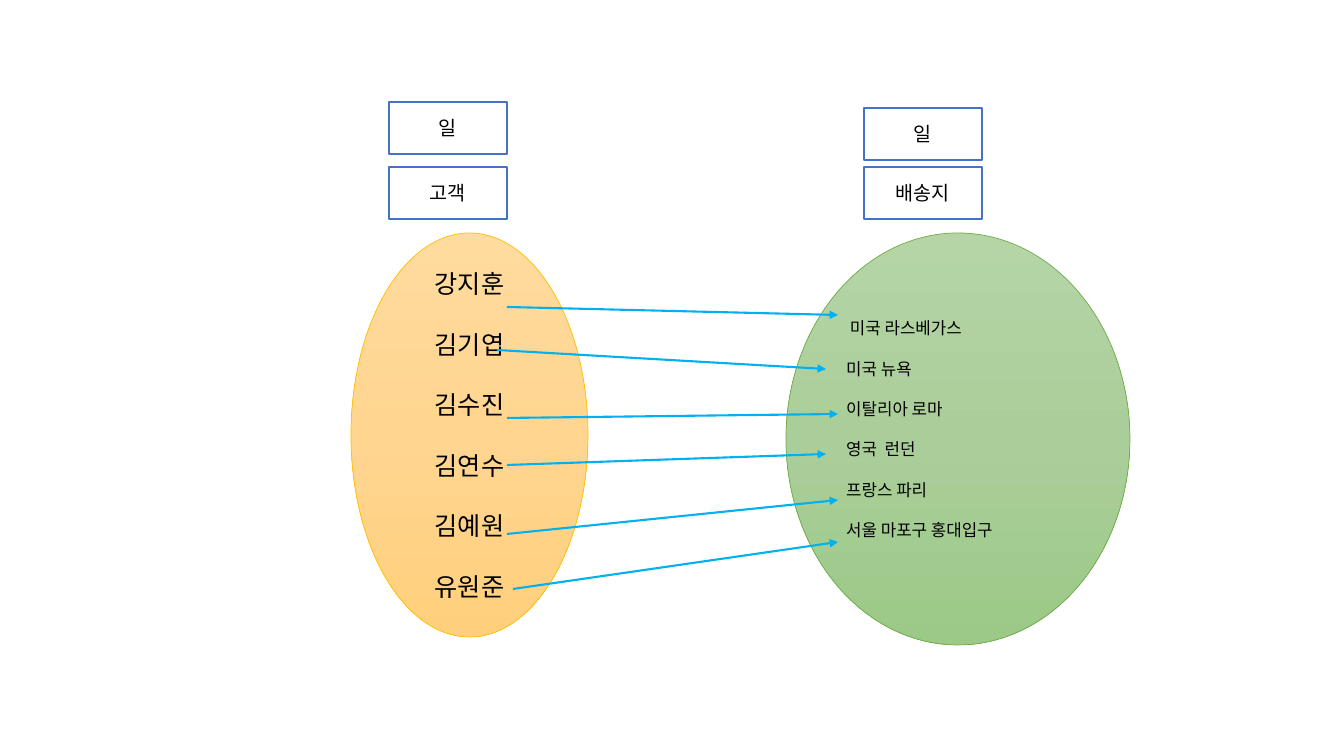
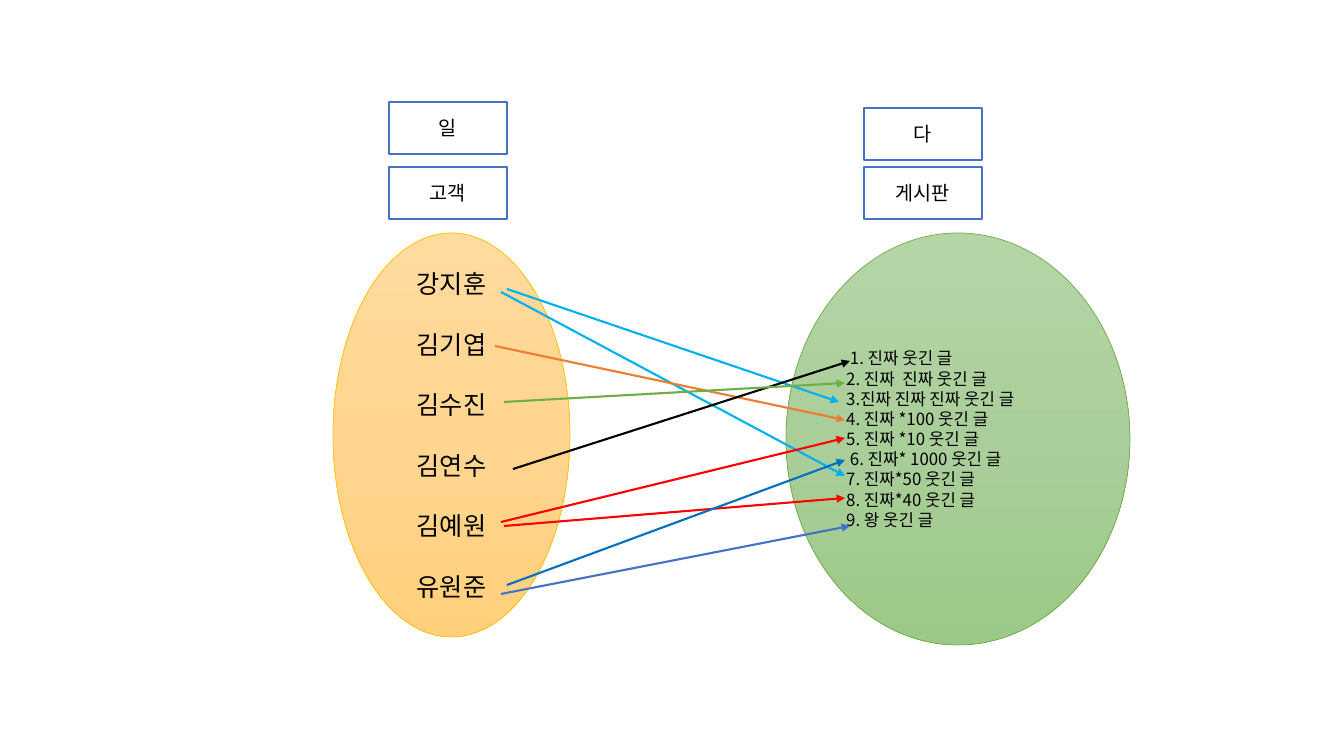
from copy import deepcopy

from lxml.etree import SubElement
from pptx import Presentation
from pptx.dml.color import RGBColor as RGB
from pptx.enum.shapes import MSO_CONNECTOR as CONN, MSO_SHAPE as SHAPE
from pptx.enum.text import MSO_ANCHOR as ANCHOR, PP_ALIGN as ALIGN
from pptx.oxml.ns import qn
from pptx.util import Emu, Pt

# Shared style
FONT = "Noto Sans CJK KR"
LINE_HEIGHT = 1.2
BLACK, WHITE = RGB(0, 0, 0), RGB(255, 255, 255)
SKY, BLUE, NAVY = RGB(0, 176, 240), RGB(68, 114, 196), RGB(0, 112, 192)
ORANGE, RED, GREEN = RGB(237, 125, 49), RGB(255, 0, 0), RGB(112, 173, 71)
GOLD = RGB(255, 192, 0)
GOLD_FADE = RGB(255, 219, 158), RGB(255, 213, 144), RGB(255, 208, 124)
GREEN_FADE = RGB(181, 213, 167), RGB(170, 206, 154), RGB(156, 201, 135)

# Layout in px
SLIDE_W, SLIDE_H = 1344, 756
BOX_W, BOX_H = 118, 52
LEFT_BOX_X, RIGHT_BOX_X = 389, 864
LABEL_Y, LEFT_ROLE_Y, RIGHT_ROLE_Y = 167, 102, 108
OVAL_Y = 233
LEFT_OVAL_W, LEFT_OVAL_H = 237, 404
RIGHT_OVAL_X, RIGHT_OVAL_W, RIGHT_OVAL_H = 786, 344, 412

# Content: arrows are x1, y1, x2, y2, colour
CUSTOMERS = ["강지훈", "김기엽", "김수진", "김연수", "김예원", "유원준"]
SLIDES = [
    dict(
        left=("일", "고객"), right=("일", "배송지"), oval_x=351,
        items=[" 미국 라스베가스", "미국 뉴욕", "이탈리아 로마", "영국  런던",
               "프랑스 파리", "서울 마포구 홍대입구"],
        gap_lines=1, inset_bottom=25,
        arrows=[
            (507, 307, 838, 315, SKY),
            (497, 350, 826, 369, SKY),
            (507, 418, 838, 414, SKY),
            (507, 465, 826, 454, SKY),
            (507, 534, 838, 500, SKY),
            (513, 589, 838, 542, SKY),
        ],
    ),
    dict(
        left=("일", "고객"), right=("다", "게시판"), oval_x=333,
        items=[" 1. 진짜 웃긴 글", "2. 진짜  진짜 웃긴 글",
               "3.진짜 진짜 진짜 웃긴 글", "4. 진짜 *100 웃긴 글",
               "5. 진짜 *10 웃긴 글", " 6. 진짜* 1000 웃긴 글",
               "7. 진짜*50 웃긴 글", "8. 진짜*40 웃긴 글", "9. 왕 웃긴 글"],
        gap_lines=0, inset_bottom=5,
        arrows=[
            (507, 289, 839, 402, SKY),
            (501, 292, 845, 476, SKY),
            (495, 346, 845, 420, ORANGE),
            (513, 469, 850, 361, BLACK),
            (504, 526, 845, 498, RED),
            (501, 522, 845, 438, RED),
            (501, 594, 850, 526, BLUE),
            (507, 585, 845, 460, NAVY),
            (504, 402, 845, 383, GREEN),
        ],
    ),
]


def px(n):
    return Emu(round(n * 914400 / 100.8))


def add_lines(sp, lines, size, align, gap_lines=0, inset_bottom=5):
    tf = sp.text_frame
    tf.word_wrap = True
    tf.vertical_anchor = ANCHOR.MIDDLE
    tf.margin_bottom = px(inset_bottom)
    height = Pt(size * LINE_HEIGHT)
    for i, line in enumerate(lines):
        p = tf.add_paragraph() if i else tf.paragraphs[0]
        p.alignment = align
        p.line_spacing = height
        if i:
            p.space_before = height * gap_lines
        r = p.add_run()
        r.text = line
        r.font.name, r.font.size = FONT, Pt(size)
        r.font.color.rgb = BLACK
        SubElement(r.font._element, qn("a:ea"), typeface=FONT)


def add_outlined(s, kind, x, y, w, h, color, width):
    sp = s.shapes.add_shape(kind, px(x), px(y), px(w), px(h))
    sp.shadow.inherit = False
    sp.line.color.rgb, sp.line.width = color, Pt(width)
    return sp


def add_box(s, x, y, text):
    sp = add_outlined(s, SHAPE.RECTANGLE, x, y, BOX_W, BOX_H, BLUE, 1)
    sp.fill.solid()
    sp.fill.fore_color.rgb = WHITE
    add_lines(sp, [text], 14, ALIGN.CENTER)


def add_oval(s, x, w, h, color, fade):
    sp = add_outlined(s, SHAPE.OVAL, x, OVAL_Y, w, h, color, 0.5)
    sp.fill.gradient()
    sp.fill.gradient_angle = 270
    # The preset gradient has two stops; a third gives the middle tone
    stops = sp._element.spPr.find(qn("a:gradFill")).find(qn("a:gsLst"))
    stops.append(deepcopy(stops[0]))
    for i, (stop, tone) in enumerate(zip(sp.fill.gradient_stops, fade)):
        stop.color.rgb, stop.position = tone, i / 2
    return sp


def add_arrow(s, x1, y1, x2, y2, color):
    c = s.shapes.add_connector(CONN.STRAIGHT, px(x1), px(y1), px(x2), px(y2))
    c.line.color.rgb, c.line.width = color, Pt(1.5)
    SubElement(c.line._get_or_add_ln(), qn("a:tailEnd"), type="triangle")
    SubElement(c._element.spPr, qn("a:effectLst"))


def add_mapping(prs, data):
    s = prs.slides.add_slide(prs.slide_layouts[6])

    # Both sets
    sp = add_oval(s, data["oval_x"], LEFT_OVAL_W, LEFT_OVAL_H, GOLD, GOLD_FADE)
    add_lines(sp, CUSTOMERS, 18, ALIGN.CENTER, gap_lines=1)
    sp = add_oval(s, RIGHT_OVAL_X, RIGHT_OVAL_W, RIGHT_OVAL_H, GREEN, GREEN_FADE)
    add_lines(sp, data["items"], 12, ALIGN.LEFT,
              data["gap_lines"], data["inset_bottom"])

    # Role and name above each set
    for x, role_y, (role, name) in (
            (LEFT_BOX_X, LEFT_ROLE_Y, data["left"]),
            (RIGHT_BOX_X, RIGHT_ROLE_Y, data["right"])):
        add_box(s, x, LABEL_Y, name)
        add_box(s, x, role_y, role)

    # Relations
    for arrow in data["arrows"]:
        add_arrow(s, *arrow)


def main():
    prs = Presentation()
    prs.slide_width, prs.slide_height = px(SLIDE_W), px(SLIDE_H)
    for data in SLIDES:
        add_mapping(prs, data)
    prs.save("out.pptx")


if __name__ == "__main__":
    main()
